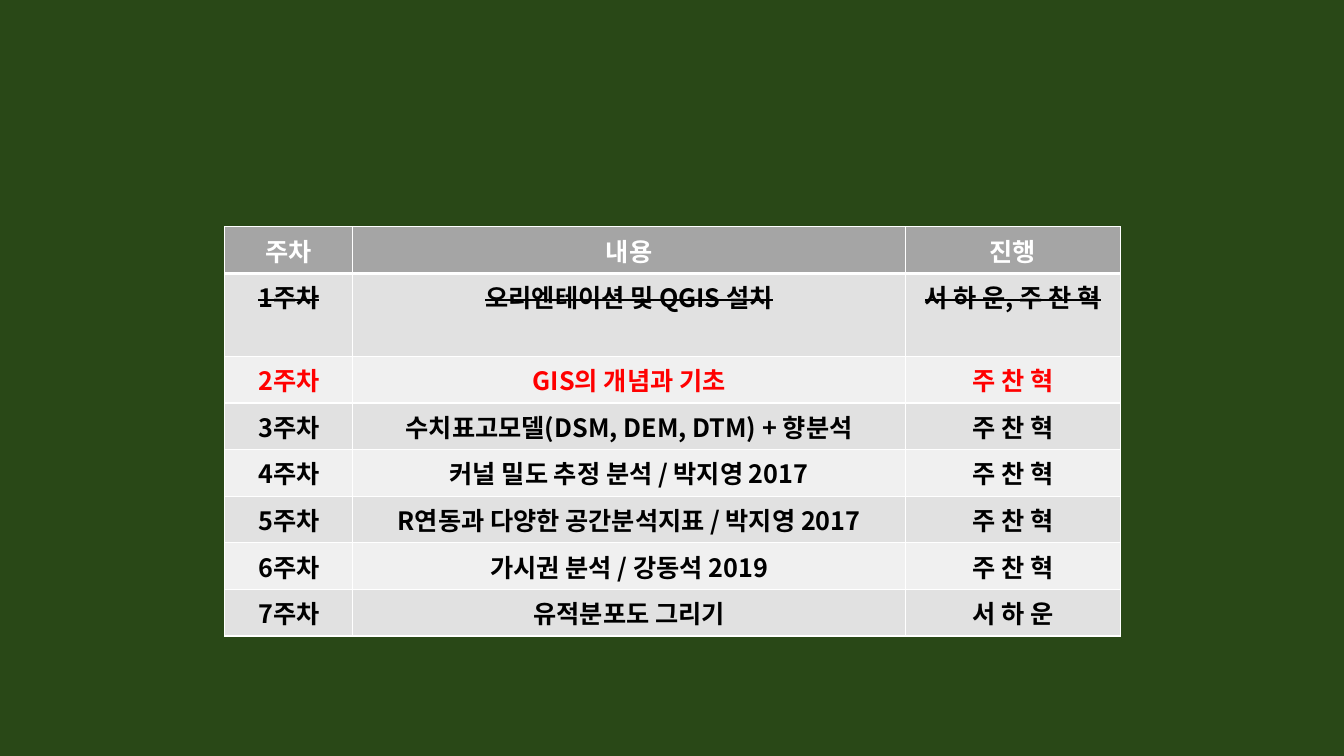
from dataclasses import dataclass

from lxml.etree import SubElement
from pptx import Presentation
from pptx.dml.color import RGBColor
from pptx.enum.text import PP_ALIGN
from pptx.oxml import parse_xml
from pptx.oxml.ns import nsdecls, qn
from pptx.util import Inches, Pt


@dataclass(frozen=True)
class Theme:
    """Colours, font and sizes of the schedule."""
    background: str = "294817"
    header: str = "A5A5A5"
    bands: tuple = ("E1E1E1", "F0F0F0")
    light: str = "FFFFFF"
    dark: str = "000000"
    current: str = "FF0000"
    font: str = "Noto Sans CJK KR"
    size: int = 18
    rule: int = 1
    header_rule: int = 3
    margin: float = 0.13


class ScheduleSlide:
    """Draws styled elements on one slide."""

    def __init__(self, slide, theme):
        self.slide = slide
        self.theme = theme

    def background(self):
        """Fill the slide background."""
        fill = self.slide.background.fill
        fill.solid()
        fill.fore_color.rgb = RGBColor.from_string(self.theme.background)

    def borders(self, cell, bottom):
        """Draw the four rules of a cell."""
        properties = cell._tc.get_or_add_tcPr()
        widths = {side: self.theme.rule for side in "LRT"} | {"B": bottom}
        for position, (side, width) in enumerate(widths.items()):
            properties.insert(position, parse_xml(
                f'<a:ln{side} {nsdecls("a")} w="{Pt(width)}"><a:solidFill>'
                f'<a:srgbClr val="{self.theme.light}"/></a:solidFill></a:ln{side}>'))

    def cell(self, cell, text, fill, color, bottom, done=False):
        """Write one cell with its fill, rules and type."""
        cell.fill.solid()
        cell.fill.fore_color.rgb = RGBColor.from_string(fill)
        cell.margin_left = cell.margin_right = Inches(self.theme.margin)
        self.borders(cell, bottom)
        cell.text = text
        paragraph = cell.text_frame.paragraphs[0]
        paragraph.alignment = PP_ALIGN.CENTER
        font = paragraph.font
        font.name = self.theme.font
        font.size = Pt(self.theme.size)
        font.bold = True
        font.color.rgb = RGBColor.from_string(color)
        defaults = paragraph._p.pPr.find(qn("a:defRPr"))
        defaults.set("kern", "0")
        SubElement(defaults, qn("a:ea"), typeface=self.theme.font)
        if done:
            defaults.set("strike", "sngStrike")

    def schedule(self, left, top, widths, row_height, header, weeks, done, current):
        """Build the table, striking the done week and marking the current one."""
        theme = self.theme
        rows = [header] + [(f"{week}주차", *entry) for week, entry in enumerate(weeks, 1)]
        table = self.slide.shapes.add_table(
            len(rows), len(widths), Inches(left), Inches(top),
            Inches(sum(widths)), Inches(row_height * len(rows))).table
        for column, width in zip(table.columns, widths):
            column.width = Inches(width)
        for week, row in enumerate(rows):
            if week == 0:
                style = theme.header, theme.light, theme.header_rule
            else:
                color = theme.current if week == current else theme.dark
                style = theme.bands[(week - 1) % 2], color, theme.rule
            for column, text in enumerate(row):
                self.cell(table.cell(week, column), text, *style, done=week == done)


def main():
    """Build and save the slide."""
    presentation = Presentation()
    presentation.slide_width = Inches(13.33)
    presentation.slide_height = Inches(7.5)
    page = ScheduleSlide(
        presentation.slides.add_slide(presentation.slide_layouts[6]), Theme())
    page.background()
    weeks = [
        ("오리엔테이션 및 QGIS 설치", "서 하 운, 주 찬 혁"),
        ("GIS의 개념과 기초", "주 찬 혁"),
        ("수치표고모델(DSM, DEM, DTM) + 향분석", "주 찬 혁"),
        ("커널 밀도 추정 분석 / 박지영 2017", "주 찬 혁"),
        ("R연동과 다양한 공간분석지표 / 박지영 2017", "주 찬 혁"),
        ("가시권 분석 / 강동석 2019", "주 찬 혁"),
        ("유적분포도 그리기", "서 하 운"),
    ]
    page.schedule(2.23, 2.25, (1.27, 5.48, 2.13), 0.41,
                  ("주차", "내용", "진행"), weeks, done=1, current=2)
    presentation.save("out.pptx")


if __name__ == "__main__":
    main()
